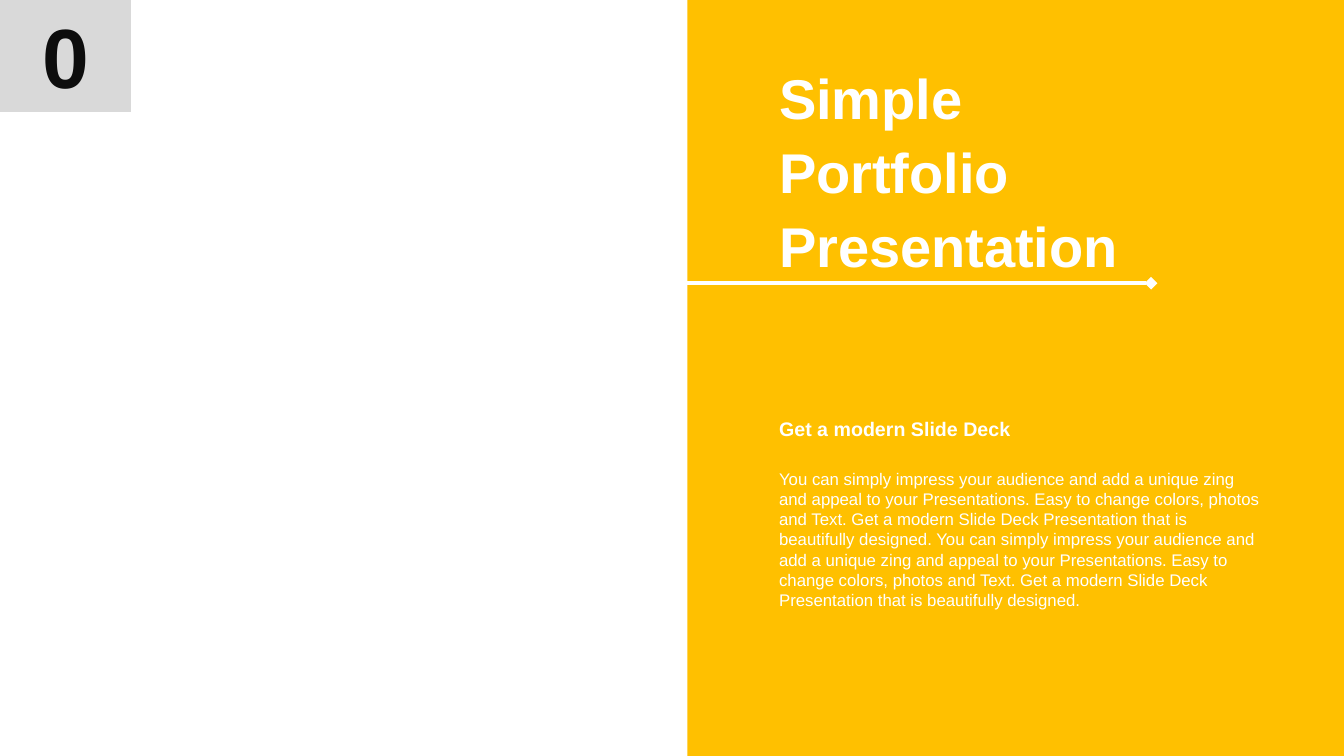
from lxml import etree
from pptx import Presentation
from pptx.dml.color import RGBColor
from pptx.enum import shapes, text
from pptx.oxml import ns
from pptx.util import Pt

WHITE, AMBER, GREY, BLACK = "FFFFFF", "FFC000", "D9D9D9", "0D0D0D"
TEXT_LEFT, TEXT_WIDTH = 549.4, 361.4
PANEL_LEFT = 491


def color(hex_string):
    return RGBColor.from_string(hex_string)


def add_block(kind, left, top, width, height, fill=None):
    shape = slide.shapes.add_shape(kind, Pt(left), Pt(top), Pt(width), Pt(height))
    shape.shadow.inherit = False
    shape.line.fill.background()
    if fill:
        shape.fill.solid()
        shape.fill.fore_color.rgb = color(fill)
    else:
        shape.fill.background()
    shape.text_frame.vertical_anchor = text.MSO_ANCHOR.TOP
    return shape


presentation = Presentation()
presentation.slide_width, presentation.slide_height = Pt(960), Pt(540)
slide = presentation.slides.add_slide(presentation.slide_layouts[6])

# Right panel
add_block(shapes.MSO_SHAPE.RECTANGLE, PANEL_LEFT, 0, 960 - PANEL_LEFT, 540, AMBER)

# Rule with diamond end under the title
rule = slide.shapes.add_connector(
    shapes.MSO_CONNECTOR.STRAIGHT, Pt(PANEL_LEFT), Pt(202.3), Pt(822.2), Pt(202.3))
rule.line.color.rgb = color(WHITE)
rule.line.width = Pt(3)
etree.SubElement(rule.line._get_or_add_ln(), ns.qn("a:tailEnd"), type="diamond")
etree.SubElement(rule._element.spPr, ns.qn("a:effectLst"))

# Body, subtitle, title and number
body = add_block(shapes.MSO_SHAPE.PENTAGON, TEXT_LEFT, 331.2, TEXT_WIDTH, 108.7)
subtitle = add_block(shapes.MSO_SHAPE.PENTAGON, TEXT_LEFT, 294.5, TEXT_WIDTH, 24.5)
for plate in (body, subtitle):
    plate.adjustments[0] = 0
title = slide.shapes.add_textbox(Pt(TEXT_LEFT), Pt(45.4), Pt(285.1), Pt(149))
title.text_frame.vertical_anchor = text.MSO_ANCHOR.MIDDLE
number = add_block(shapes.MSO_SHAPE.RECTANGLE, 0, 0, 93.6, 79.9, GREY)
number.text_frame.margin_left = number.text_frame.margin_right = Pt(8.64)

pitch = (
    "You can simply impress your audience and add a unique zing and appeal to your "
    "Presentations. Easy to change colors, photos and Text. Get a modern Slide Deck "
    "Presentation that is beautifully designed."
)
left, center = text.PP_ALIGN.LEFT, text.PP_ALIGN.CENTER
for shape, words, size, bold, ink, alignment in (
    (body, f"{pitch} {pitch}", 12, False, WHITE, left),
    (subtitle, "Get a modern Slide Deck", 14, True, WHITE, left),
    (title, "Simple Portfolio Presentation", 40, True, WHITE, left),
    (number, "0", 60, True, BLACK, center),
):
    frame = shape.text_frame
    frame.word_wrap = True
    if shape is not title:
        frame.auto_size = text.MSO_AUTO_SIZE.SHAPE_TO_FIT_TEXT
    paragraph = frame.paragraphs[0]
    paragraph.text = words
    paragraph.alignment = alignment
    paragraph.font.name = "Arial"
    paragraph.font.size = Pt(size)
    paragraph.font.bold = bold
    paragraph.font.color.rgb = color(ink)
title.text_frame.paragraphs[0].line_spacing = 1.1

presentation.save("out.pptx")
